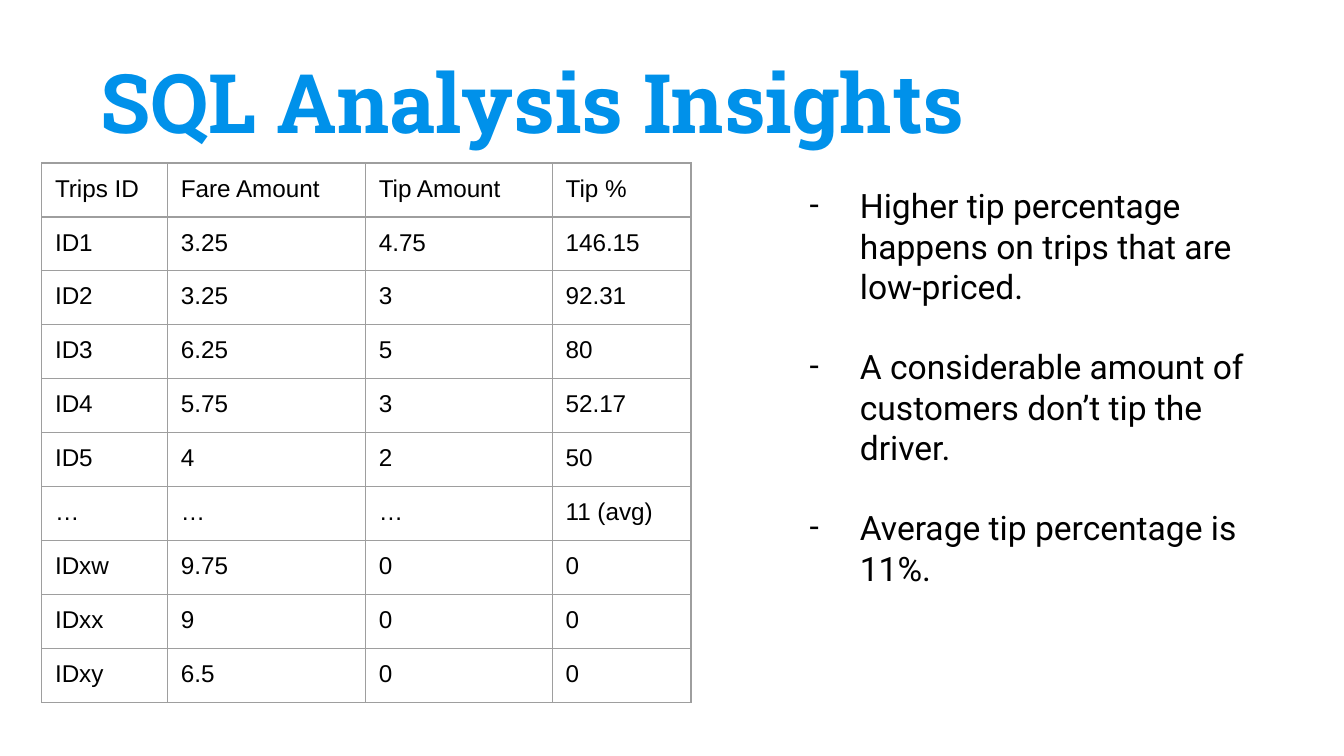
from lxml.etree import SubElement
from pptx import Presentation
from pptx.dml.color import RGBColor
from pptx.enum.text import MSO_ANCHOR, MSO_AUTO_SIZE, PP_ALIGN
from pptx.oxml.ns import qn
from pptx.util import Cm, Pt

TITLE = "SQL Analysis Insights"
TRIPS = [
    ("Trips ID", "Fare Amount", "Tip Amount", "Tip %"),
    ("ID1", "3.25", "4.75", "146.15"),
    ("ID2", "3.25", "3", "92.31"),
    ("ID3", "6.25", "5", "80"),
    ("ID4", "5.75", "3", "52.17"),
    ("ID5", "4", "2", "50"),
    ("…", "…", "…", "11 (avg)"),
    ("IDxw", "9.75", "0", "0"),
    ("IDxx", "9", "0", "0"),
    ("IDxy", "6.5", "0", "0"),
]
WIDTHS = (2.38, 3.74, 3.53, 2.62)
ROW = 1.02
INSIGHTS = [
    "Higher tip percentage happens on trips that are low-priced.",
    "A considerable amount of customers don’t tip the driver.",
    "Average tip percentage is 11%.",
]
BLUE, BLACK, GREY = "0091EA", "000000", "9E9E9E"


def style(par, face, size, color, bold=False):
    font = par.font
    font.name, font.size, font.bold = face, Pt(size), bold
    font.color.rgb = RGBColor.from_string(color)


def place(shape, left, top, width, height, anchor):
    shape.left, shape.top = Cm(left), Cm(top)
    shape.width, shape.height = Cm(width), Cm(height)
    frame = shape.text_frame
    frame.word_wrap, frame.auto_size = True, MSO_AUTO_SIZE.NONE
    frame.vertical_anchor = anchor
    frame.margin_left = frame.margin_right = Cm(0.25)
    frame.margin_top = frame.margin_bottom = Cm(0.25)
    return frame


def border(cell, color, width):
    props = cell._tc.get_or_add_tcPr()
    for n, side in enumerate(("lnL", "lnR", "lnT", "lnB")):
        line = props.makeelement(qn(f"a:{side}"), {"w": str(Pt(width))})
        fill = SubElement(line, qn("a:solidFill"))
        SubElement(fill, qn("a:srgbClr"), val=color)
        props.insert(n, line)  # borders come before the fill


def dash(par):
    props = par._p.get_or_add_pPr()
    props.set("marL", str(Cm(1.27)))
    props.set("indent", str(Cm(-0.95)))
    tint = SubElement(props, qn("a:buClr"))
    SubElement(tint, qn("a:srgbClr"), val=BLACK)
    SubElement(props, qn("a:buFont"), typeface="Roboto")
    SubElement(props, qn("a:buChar"), char="-")


deck = Presentation()
deck.slide_width, deck.slide_height = Cm(25.4), Cm(14.29)
slide = deck.slides.add_slide(deck.slide_layouts[1])
title, body = slide.placeholders

frame = place(title, 1.65, -0.15, 19.46, 3.23, MSO_ANCHOR.BOTTOM)
frame.text = TITLE
head = frame.paragraphs[0]
head.alignment = PP_ALIGN.LEFT
style(head, "Roboto Slab", 44, BLUE, True)

table = slide.shapes.add_table(
    len(TRIPS), len(WIDTHS), Cm(0.79), Cm(3.08),
    Cm(sum(WIDTHS)), Cm(ROW * len(TRIPS))).table
for column, width in zip(table.columns, WIDTHS):
    column.width = Cm(width)
for r, trip in enumerate(TRIPS):
    table.rows[r].height = Cm(ROW)
    for c, text in enumerate(trip):
        cell = table.cell(r, c)
        cell.text = text
        cell.margin_left = cell.margin_right = Cm(0.25)
        cell.margin_top = cell.margin_bottom = Cm(0.23)
        cell.fill.background()
        border(cell, GREY, 0.75)
        style(cell.text_frame.paragraphs[0], "Arial", 13, BLACK)

frame = place(body, 14.73, 3.25, 9.7, 8.2, MSO_ANCHOR.TOP)
frame.text = "\n".join(INSIGHTS)
for n, par in enumerate(frame.paragraphs):
    par.space_before = Pt(21.5 if n else 0)
    dash(par)
    style(par, "Roboto", 18, BLACK)

deck.save("out.pptx")
